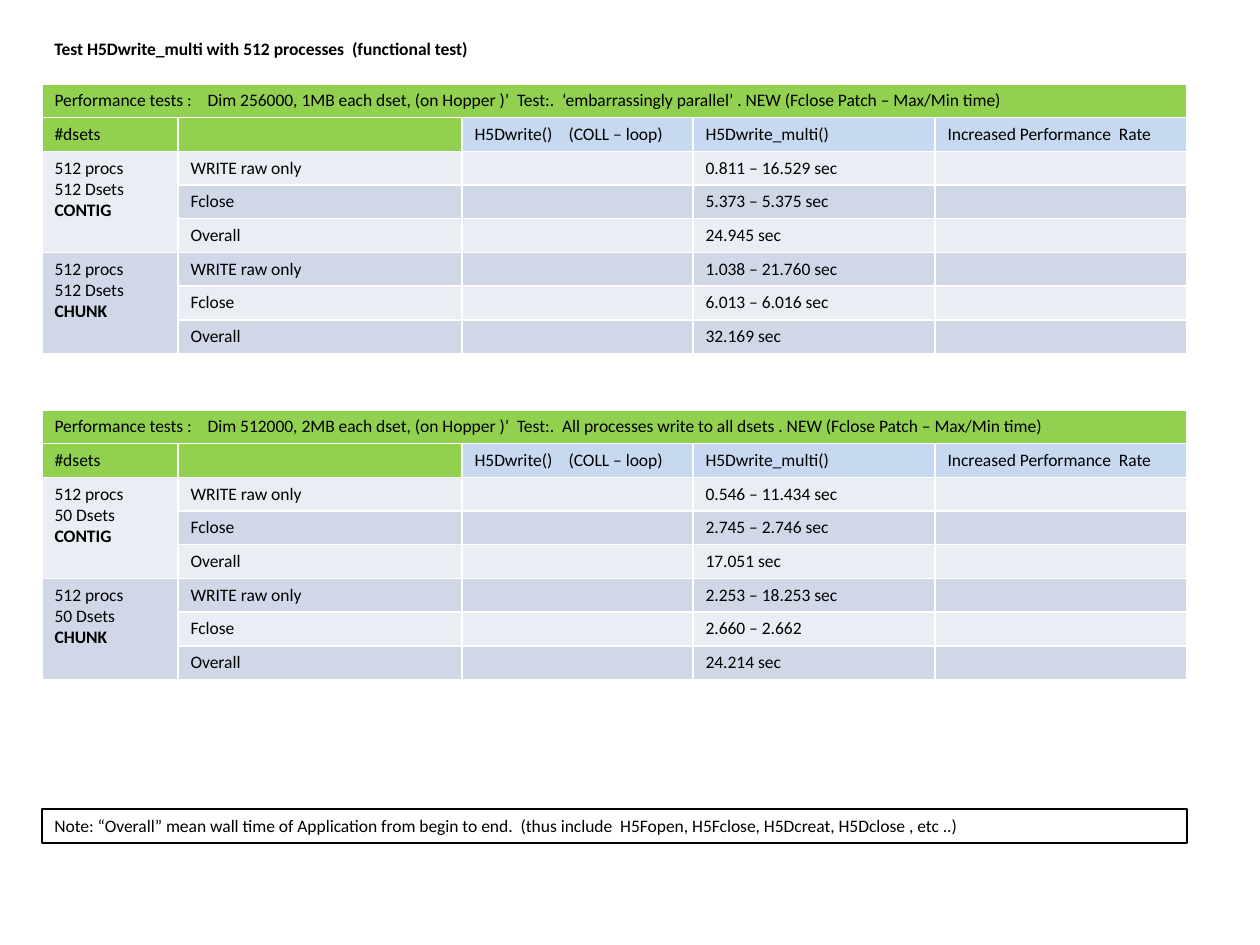
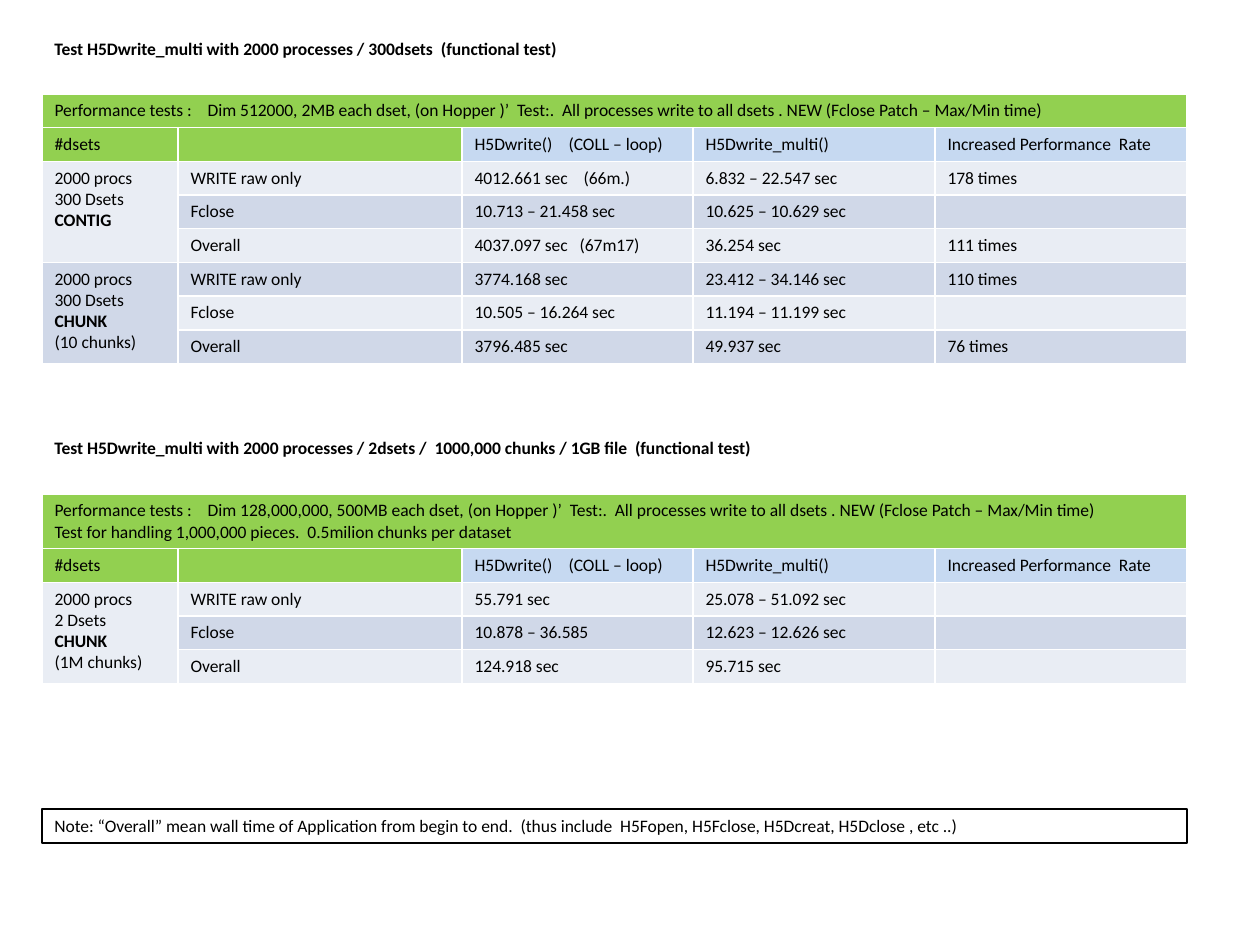
from lxml import etree
from pptx import Presentation
from pptx import util as u
from pptx.dml import color
from pptx.enum import shapes
from pptx.oxml import ns

NOTE = ("Note: “Overall” mean wall time of Application from begin to end.  "
        "(thus include  H5Fopen, H5Fclose, H5Dcreat, H5Dclose , etc ..)")
HEADERS = ["#dsets", "", "H5Dwrite()\t(COLL – loop)", "H5Dwrite_multi()",
           "Increased Performance  Rate"]
STEPS = ["WRITE raw only", "Fclose", "Overall"]
CAPTION = ("Performance tests :\tDim {}, (on Hopper )’  Test:.  {} . "
           "NEW (Fclose Patch – Max/Min time)")
ALL_WRITE = "All processes write to all dsets"

SLIDES = [
    {
        "titles": [
            (32, 462, "Test H5Dwrite_multi with 512 processes  (functional test)"),
        ],
        "tables": [
            (84, [CAPTION.format("256000, 1MB each dset", "‘embarrassingly parallel’")], [
                (["512 procs", "512 Dsets", "CONTIG"],
                 [("", "0.811 – 16.529 sec", ""),
                  ("", "5.373 – 5.375 sec", ""),
                  ("", "24.945 sec", "")]),
                (["512 procs", "512 Dsets", "CHUNK"],
                 [("", "1.038 – 21.760 sec", ""),
                  ("", "6.013 – 6.016 sec", ""),
                  ("", "32.169 sec", "")]),
            ]),
            (410, [CAPTION.format("512000, 2MB each dset", ALL_WRITE)], [
                (["512 procs", "50 Dsets", "CONTIG"],
                 [("", "0.546 – 11.434 sec", ""),
                  ("", "2.745 – 2.746 sec", ""),
                  ("", "17.051 sec", "")]),
                (["512 procs", "50 Dsets", "CHUNK"],
                 [("", "2.253 – 18.253 sec", ""),
                  ("", "2.660 – 2.662", ""),
                  ("", "24.214 sec", "")]),
            ]),
        ],
    },
    {
        "titles": [
            (32, 572, "Test H5Dwrite_multi with 2000 processes / 300dsets  (functional test)"),
            (431, 736, "Test H5Dwrite_multi with 2000 processes / 2dsets /  "
                       "1000,000 chunks / 1GB file  (functional test)"),
        ],
        "tables": [
            (94, [CAPTION.format("512000, 2MB each dset", ALL_WRITE)], [
                (["2000 procs", "300 Dsets", "CONTIG"],
                 [("4012.661 sec\t(66m.)", "6.832 – 22.547 sec", "178 times"),
                  ("10.713 – 21.458 sec", "10.625 – 10.629 sec", ""),
                  ("4037.097 sec\t(67m17)", "36.254 sec", "111 times")]),
                (["2000 procs", "300 Dsets", "CHUNK", "(10 chunks)"],
                 [("3774.168 sec", "23.412 – 34.146 sec", "110 times"),
                  ("10.505 – 16.264 sec", "11.194 – 11.199 sec", ""),
                  ("3796.485 sec", "49.937 sec", "76 times")]),
            ]),
            (494, [CAPTION.format("128,000,000, 500MB each dset", ALL_WRITE),
                   "Test for handling 1,000,000 pieces.  0.5milion chunks per dataset"], [
                (["2000 procs", "2 Dsets", "CHUNK", "(1M chunks)"],
                 [("55.791 sec", "25.078 – 51.092 sec", ""),
                  ("10.878 – 36.585", "12.623 – 12.626 sec", ""),
                  ("124.918 sec", "95.715 sec", "")]),
            ]),
        ],
    },
]

TAB_STOPS = {"Performance tests :": 153, "H5Dwrite()": 94,
             "4012.661 sec": 109, "4037.097 sec": 105}
LAYOUTS = ("CONTIG", "CHUNK")
COLUMNS = [136, 284, 231, 242, 252]
LEFT, WIDTH, ROW = 42, 1145, 33
NOTE_TOP, BOX_HEIGHT = 809, 34
GREEN, BLUE, BLACK = "92D050", "C6D9F1", "000000"
BANDS = ["E9EDF4", "D0D8E8"]
FORMAT = {"name": "Calibri", "size": u.Pt(10)}


def px(n):
    return u.Emu(round(n * 914400 / 126))


def rgb(value):
    return color.RGBColor.from_string(value)


def add_tab(p, stop):
    tabs = etree.SubElement(p._p.get_or_add_pPr(), ns.qn("a:tabLst"))
    etree.SubElement(tabs, ns.qn("a:tab"), pos=str(px(stop)), algn="l")


def write(tf, lines, bold=False):
    for i, line in enumerate(lines):
        p = tf.paragraphs[0] if i == 0 else tf.add_paragraph()
        if not line:
            etree.SubElement(p._p, ns.qn("a:endParaRPr"), sz="1000")
            continue
        if "\t" in line:
            add_tab(p, TAB_STOPS[line.split("\t")[0]])
        r = p.add_run()
        r.text = line
        for key, value in FORMAT.items():
            setattr(r.font, key, value)
        r.font.bold = bold or line in LAYOUTS
        r.font.color.rgb = rgb(BLACK)


def add_box(s, top, width, line, bold=False):
    sp = s.shapes.add_textbox(px(LEFT), px(top), px(width), px(BOX_HEIGHT))
    sp.text_frame.word_wrap = True
    write(sp.text_frame, [line], bold)
    return sp


def add_results(s, top, caption, groups):
    rows = [([caption] + [[""]] * 4, [GREEN] * 5),
            ([[h] for h in HEADERS], [GREEN] * 2 + [BLUE] * 3)]
    for label, values in groups:
        for step, row in zip(STEPS, values):
            first = label if step == STEPS[0] else [""]
            cells = [first, [step]] + [[v] for v in row]
            rows.append((cells, [BANDS[len(rows) % 2]] * 5))

    frame = s.shapes.add_table(len(rows), len(COLUMNS), px(LEFT), px(top),
                               px(WIDTH), px(ROW * len(rows)))
    table = frame.table
    for column, width in zip(table.columns, COLUMNS):
        column.width = px(width)
    for i, (cells, fills) in enumerate(rows):
        table.rows[i].height = px(ROW)
        for j, (lines, fill) in enumerate(zip(cells, fills)):
            cell = table.cell(i, j)
            cell.fill.solid()
            cell.fill.fore_color.rgb = rgb(fill)
            write(cell.text_frame, lines)

    table.cell(0, 0).merge(table.cell(0, len(COLUMNS) - 1))
    for start in range(2, len(rows), len(STEPS)):
        table.cell(start, 0).merge(table.cell(start + len(STEPS) - 1, 0))


def add_note(s):
    sp = s.shapes.add_shape(shapes.MSO_SHAPE.RECTANGLE, px(LEFT), px(NOTE_TOP),
                            px(WIDTH), px(BOX_HEIGHT))
    sp.shadow.inherit = False
    sp.fill.background()
    sp.line.color.rgb = rgb(BLACK)
    sp.line.width = u.Pt(0.75)
    tf = sp.text_frame
    tf.word_wrap = True
    write(tf, [NOTE])
    tf.paragraphs[0].alignment = 1


def main():
    prs = Presentation()
    prs.slide_width, prs.slide_height = u.Inches(10), u.Inches(7.5)
    for content in SLIDES:
        s = prs.slides.add_slide(prs.slide_layouts[6])
        for top, width, line in content["titles"]:
            add_box(s, top, width, line, bold=True)
        for top, caption, groups in content["tables"]:
            add_results(s, top, caption, groups)
        add_note(s)
    prs.save("out.pptx")


if __name__ == "__main__":
    main()
